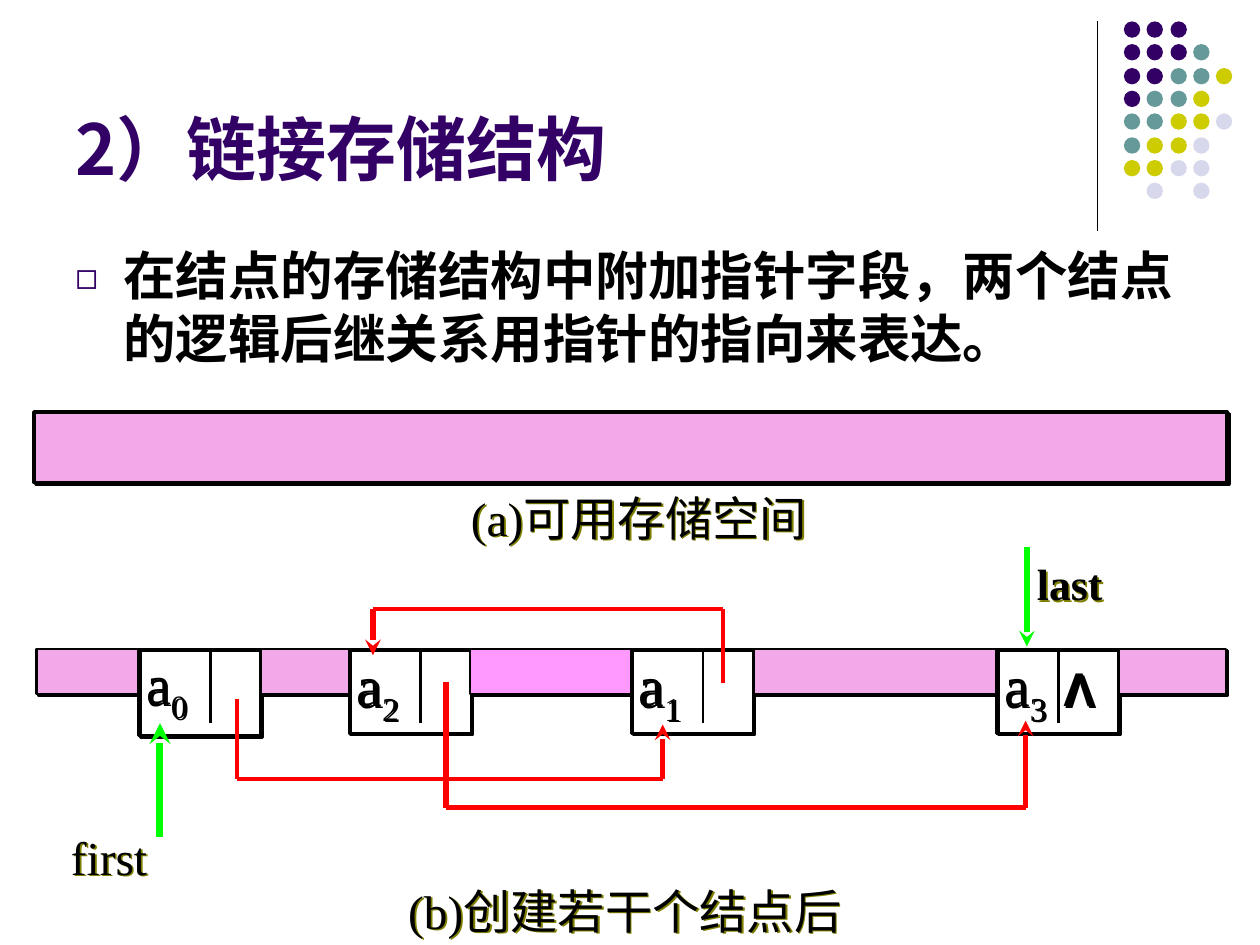
from lxml import etree
from pptx import Presentation, util as u
from pptx.dml.color import RGBColor
from pptx.enum import shapes as sh, text as tx
from pptx.oxml.ns import qn

PX = 9144
ROMAN, HAN = "Times New Roman", "Noto Sans CJK SC"
PINK, RED, GREEN, BLACK, PLUM = "F1A9EA", "FF0000", "00FF00", "000000", "330066"
OLIVE = "808000"


def px(n):
    return u.Emu(n * PX)


def rgb(code):
    return RGBColor.from_string(code)


def sub(node, tag, **attrs):
    return etree.SubElement(node, qn(tag), attrs)


def cast(shape, color):
    shape.shadow.inherit = False
    if color:
        effect = shape._element.spPr.find(qn("a:effectLst"))
        drop = sub(effect, "a:outerShdw", dist="17780", dir="2700000", algn="ctr", rotWithShape="0")
        sub(drop, "a:srgbClr", val=color)


def line(slide, start, end, color, width, arrow=False):
    wire = slide.shapes.add_connector(
        sh.MSO_CONNECTOR.STRAIGHT, *map(px, start), *map(px, end))
    wire.line.color.rgb = rgb(color)
    wire.line.width = u.Pt(width)
    if arrow:
        sub(wire.line._get_or_add_ln(), "a:tailEnd", type="stealth")
    sub(wire._element.spPr, "a:effectLst")


def rect(slide, box, fill=None, width=1.5):
    shape = slide.shapes.add_shape(sh.MSO_SHAPE.RECTANGLE, *map(px, box))
    if fill:
        shape.fill.solid()
        shape.fill.fore_color.rgb = rgb(fill)
    else:
        shape.fill.background()
    shape.line.color.rgb = rgb(BLACK)
    shape.line.width = u.Pt(width)
    cast(shape, BLACK)
    return shape


def pad(frame, left, top, right, bottom):
    frame.word_wrap = True
    frame.margin_left, frame.margin_top = px(left), px(top)
    frame.margin_right, frame.margin_bottom = px(right), px(bottom)


def style(run, size, face, color=BLACK, bold=False):
    font = run.font
    font.size, font.name, font.bold = u.Pt(size), face, bold
    font.color.rgb = rgb(color)
    sub(run._r.get_or_add_rPr(), "a:ea", typeface=face)


def write(slide, box, parts, size, color=BLACK, bold=False, shade=None, inset=(0, 0, 0, 0)):
    label = slide.shapes.add_textbox(*map(px, box))
    pad(label.text_frame, *inset)
    para = label.text_frame.paragraphs[0]
    for words, face in parts:
        run = para.add_run()
        run.text = words
        style(run, size, face, color, bold)
    cast(label, shade)
    return label


def dots(slide, left, top):
    tints = {"P": PLUM, "T": "669999", "Y": "CCCC00", "L": "D8D8EC"}
    rows = ["PPP", "PPPT", "PPTTY", "PTTY", "TTYYL", "TYYL", "YYLL", " L L"]
    line(slide, (left - 21, top), (left - 21, top + 166), BLACK, 0.75)
    for i, row in enumerate(rows):
        for j, key in enumerate(row):
            if key in tints:
                spot = (left + round(18.3 * j), top + round(18.3 * i), 13, 13)
                dot = slide.shapes.add_shape(sh.MSO_SHAPE.OVAL, *map(px, spot))
                dot.fill.solid()
                dot.fill.fore_color.rgb = rgb(tints[key])
                dot.line.fill.background()
                cast(dot, None)


def title(slide, box):
    label = write(slide, box, [("2）链接存储结构", HAN)], 40, PLUM, True, inset=(10, 5, 10, 5))
    label.text_frame.vertical_anchor = tx.MSO_ANCHOR.BOTTOM


def body(slide, box):
    words = "在结点的存储结构中附加指针字段，两个结点的逻辑后继关系用指针的指向来表达。"
    label = write(slide, box, [(words, HAN)], 30, bold=True, inset=(10, 5, 10, 5))
    props = label.text_frame.paragraphs[0]._p.get_or_add_pPr()
    props.set("marL", str(px(38)))
    props.set("indent", str(px(-38)))
    sub(sub(props, "a:buClr"), "a:srgbClr", val=PLUM)
    sub(props, "a:buSzPct", val="70000")
    sub(props, "a:buFont", typeface=HAN)
    sub(props, "a:buChar", char="◻")


def free(slide, left, top):
    rect(slide, (left, top, 947, 56), PINK, 2)
    label = write(slide, (left + 331, top + 61, 298, 45),
                  [("(a)", ROMAN), ("可用存储空间", HAN)], 27, shade=OLIVE)
    label.text_frame.paragraphs[0].alignment = tx.PP_ALIGN.CENTER


def cell(slide, box, digit, size, split, mark=None):
    left, top = box[:2]
    frame = rect(slide, box).text_frame
    pad(frame, 6, 0, 0, 8)
    frame.vertical_anchor = tx.MSO_ANCHOR.TOP
    para = frame.paragraphs[0]
    para.alignment = tx.PP_ALIGN.LEFT
    if mark:
        tabs = sub(para._p.get_or_add_pPr(), "a:tabLst")
        sub(tabs, "a:tab", pos=str(px(47)), algn="l")
    for words in ("a", digit):
        run = para.add_run()
        run.text = words
        style(run, size, ROMAN)
    run._r.get_or_add_rPr().set("baseline", "-25000")
    if mark:
        run = para.add_run()
        run.text = "\t" + mark
        style(run, 27, "Arial", bold=True)
    line(slide, (left + split, top), (left + split, top + 59), BLACK, 1.5)


def linked(slide, left, top):
    def at(x, y):
        return left + x, top + y

    nodes = [(83, 69, "0", 32, 57, None), (250, 67, "2", 33, 57, None),
             (474, 67, "1", 33, 57, None), (764, 67, "3", 33, 49, "Λ")]
    for x, tall, *rest in nodes:
        cell(slide, (*at(x, 81), 97, tall), *rest)

    first = write(slide, (*at(19, 223), 81, 45), [("first", ROMAN)], 27, shade=OLIVE)
    first.text_frame.paragraphs[0].alignment = tx.PP_ALIGN.CENTER
    line(slide, at(100, 230), at(100, 140), GREEN, 4, True)

    links = [([(161, 121), (161, 184), (499, 184), (499, 141)], 2.25),
             ([(547, 108), (547, 49), (269, 49), (269, 86)], 2.25),
             ([(327, 107), (327, 207), (787, 207), (787, 138)], 3)]
    for points, width in links:
        for i in range(3):
            last = i == 2
            line(slide, at(*points[i]), at(*points[i + 1]), RED, 3 if last else width, last)

    write(slide, (*at(796, 8), 60, 42), [("last", ROMAN)], 25, bold=True, shade=OLIVE)
    line(slide, at(788, 0), at(788, 79), GREEN, 3, True)

    for x, wide, fill in [(180, 70, PINK), (861, 85, PINK), (571, 193, PINK),
                          (346, 128, "FF99FF"), (2, 81, PINK)]:
        rect(slide, (*at(x, 81), wide, 36), fill)
    write(slide, (*at(297, 266), 426, 50),
          [("(b)", ROMAN), ("创建若干个结点后", HAN)], 27, shade=OLIVE)


def main():
    deck = Presentation()
    deck.slide_width, deck.slide_height = px(1000), px(750)
    slide = deck.slides.add_slide(deck.slide_layouts[6])
    dots(slide, 892, 17)
    title(slide, (50, 13, 825, 142))
    body(slide, (50, 188, 900, 482))
    free(slide, 27, 327)
    linked(slide, 27, 434)
    deck.save("out.pptx")


if __name__ == "__main__":
    main()
